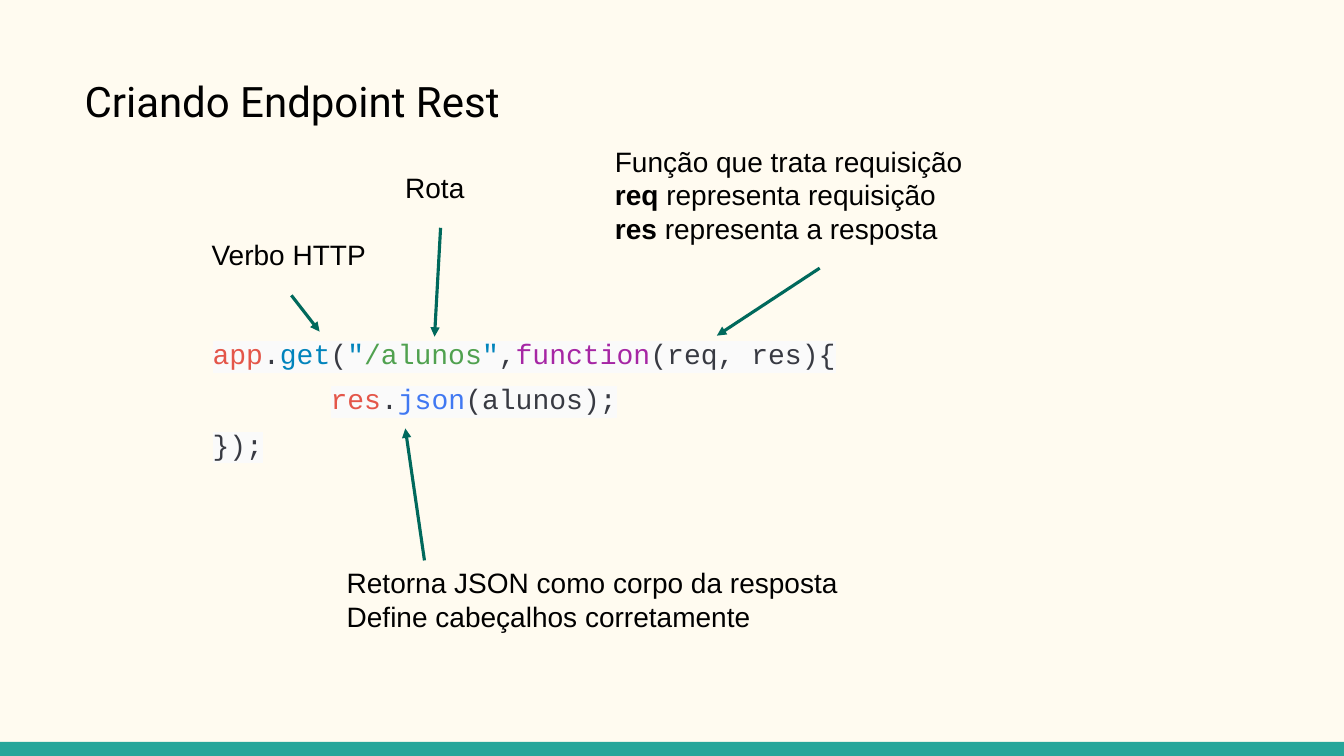
from dataclasses import dataclass
from lxml import etree
from pptx import Presentation, util as u
from pptx.dml.color import RGBColor
from pptx.enum import shapes, text
from pptx.oxml.ns import qn

PX = 9144


@dataclass(frozen=True)
class Theme:
    bg: str = "FFFBF0"
    bar: str = "26A69A"
    arrow: str = "00695C"
    ink: str = "000000"
    code_bg: str = "FAFAFA"
    plain: str = "383A42"
    name: str = "E45649"
    verb: str = "0184BC"
    string: str = "50A14F"
    keyword: str = "A626A4"
    method: str = "4078F2"
    title_font: str = "Roboto"
    note_font: str = "Arial"
    code_font: str = "Courier New"
    title_size: int = 30
    text_size: int = 20


T = Theme()

CODE = [
    [("app", T.name), (".", T.plain), ("get", T.verb), ("(", T.plain),
     ('"', T.verb), ("/alunos", T.string), ('"', T.verb), (",", T.plain),
     ("function", T.keyword), ("(req, res){", T.plain)],
    [("res", T.name), (".", T.plain), ("json", T.method), ("(alunos);", T.plain)],
    [("});", T.plain)],
]
CODE_INDENTS = [0, 117, 0]

NOTES = [
    ((200, 226, 178, 68), [["Verbo HTTP"]]),
    ((392, 159, 89, 68), [["Rota"]]),
    ((600, 133, 425, 133), [["Função que trata requisição"],
                            ["*req", " representa requisição"],
                            ["*res", " representa a resposta"]]),
    ((334, 551, 557, 108), [["Retorna JSON como corpo da resposta"],
                            ["Define cabeçalhos corretamente"]]),
]

ARROWS = [
    (289, 293, 317, 329),
    (437, 226, 431, 334),
    (813, 266, 711, 333),
    (421, 556, 402, 425),
]


def px(*values):
    return [u.Emu(v * PX) for v in values]


def rgb(color):
    return RGBColor.from_string(color)


def add_run(p, content, font=T.note_font, size=T.text_size, color=T.ink,
            bold=False, highlight=None):
    r = p.add_run()
    r.text = content
    r.font.name, r.font.size, r.font.bold = font, u.Pt(size), bold
    r.font.color.rgb = rgb(color)
    if highlight:
        mark = etree.Element(qn("a:highlight"))
        etree.SubElement(mark, qn("a:srgbClr"), val=highlight)
        r.font._element.find(qn("a:solidFill")).addnext(mark)


def add_box(s, box):
    tf = s.shapes.add_textbox(*px(*box)).text_frame
    tf.word_wrap = True
    tf.vertical_anchor = text.MSO_ANCHOR.TOP
    tf.margin_left, tf.margin_top, tf.margin_right, tf.margin_bottom = px(10, 10, 10, 10)
    return tf


def add_paragraphs(tf, count):
    return [tf.paragraphs[0]] + [tf.add_paragraph() for _ in range(count - 1)]


def add_note(s, box, lines):
    tf = add_box(s, box)
    for p, line in zip(add_paragraphs(tf, len(lines)), lines):
        for part in line:
            add_run(p, part.lstrip("*"), bold=part.startswith("*"))


def add_code(s, box):
    tf = add_box(s, box)
    for p, line, indent in zip(add_paragraphs(tf, len(CODE)), CODE, CODE_INDENTS):
        p.line_spacing = 1.35
        p._p.get_or_add_pPr().set("marL", str(indent * PX))
        for token, color in line:
            add_run(p, token, font=T.code_font, color=color, highlight=T.code_bg)


def add_arrow(s, ends):
    sp = s.shapes.add_connector(shapes.MSO_CONNECTOR.STRAIGHT, *px(*ends))
    sp.line.color.rgb = rgb(T.arrow)
    sp.line.width = u.Pt(2.25)
    etree.SubElement(sp.line._get_or_add_ln(), qn("a:tailEnd"), type="triangle")
    etree.SubElement(sp._element.spPr, qn("a:effectLst"))


def add_bar(s, box):
    sp = s.shapes.add_shape(shapes.MSO_SHAPE.RECTANGLE, *px(*box))
    sp.shadow.inherit = False
    sp.fill.solid()
    sp.fill.fore_color.rgb = rgb(T.bar)
    sp.line.fill.background()


def main():
    prs = Presentation()
    prs.slide_width, prs.slide_height = px(1333, 750)
    s = prs.slides.add_slide(prs.slide_layouts[6])
    s.background.fill.solid()
    s.background.fill.fore_color.rgb = rgb(T.bg)
    add_bar(s, (0, 736, 1333, 14))
    tf = add_box(s, (74, 65, 932, 89))
    add_run(tf.paragraphs[0], "Criando Endpoint Rest", font=T.title_font, size=T.title_size)
    add_code(s, (201, 312, 932, 354))
    for box, lines in NOTES:
        add_note(s, box, lines)
    for ends in ARROWS:
        add_arrow(s, ends)
    prs.save("out.pptx")


if __name__ == "__main__":
    main()
